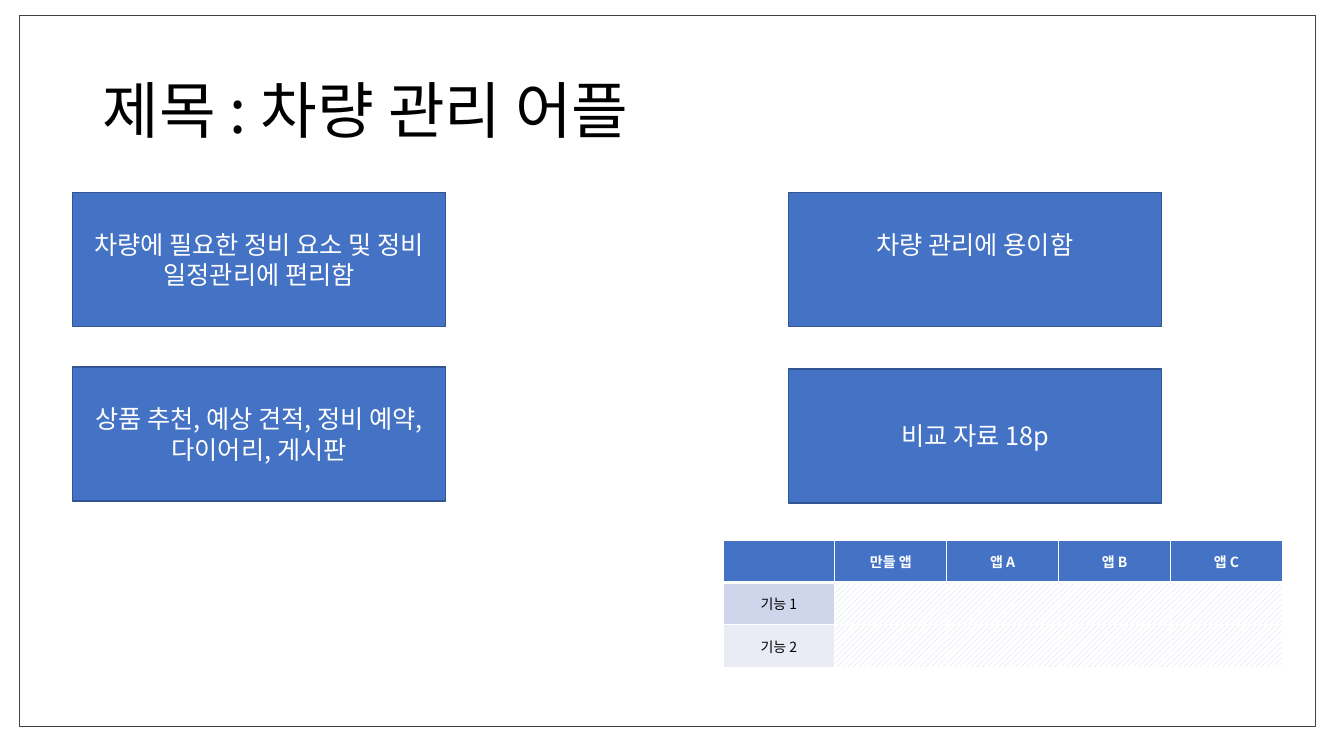
"""Build the car management app overview slide."""
from lxml import etree
from pptx import Presentation
from pptx.dml.color import RGBColor
from pptx.enum import dml, shapes, text
from pptx.oxml import ns
from pptx.util import Inches, Pt

FONT = "Noto Sans CJK KR"
BLACK = RGBColor(0, 0, 0)
WHITE = RGBColor(255, 255, 255)
FRAME_GREY = RGBColor(0x40, 0x40, 0x40)
BLUE = RGBColor(0x44, 0x72, 0xC4)
BLUE_EDGE = RGBColor(0x32, 0x54, 0x91)
BAND_DARK = RGBColor(0xCF, 0xD5, 0xEA)
BAND_LIGHT = RGBColor(0xE9, 0xEB, 0xF5)


def style_text(paragraph, size, color, bold=False):
    for run in paragraph.runs:
        run.font.size = Pt(size)
        run.font.bold = bold
        run.font.color.rgb = color
        run.font.name = FONT
        east_asian = etree.SubElement(run.font._element, ns.qn("a:ea"))
        east_asian.set("typeface", FONT)


def add_borders(cell, widths):
    for position, (side, width) in enumerate(widths.items()):
        border = etree.Element(ns.qn(f"a:ln{side}"), w=str(Pt(width)))
        fill = etree.SubElement(border, ns.qn("a:solidFill"))
        etree.SubElement(fill, ns.qn("a:srgbClr"), val=str(WHITE))
        cell._tc.get_or_add_tcPr().insert(position, border)


prs = Presentation()
prs.slide_width = Inches(13.33)
prs.slide_height = Inches(7.5)
slide = prs.slides.add_slide(prs.slide_layouts[6])

title = slide.shapes.add_textbox(Inches(0.92), Inches(0.4), Inches(11.5), Inches(1.45))
title.text_frame.word_wrap = True
title.text_frame.vertical_anchor = text.MSO_ANCHOR.MIDDLE
title.text_frame.text = "제목 : 차량 관리 어플"
title.text_frame.paragraphs[0].line_spacing = 0.9
style_text(title.text_frame.paragraphs[0], 44, BLACK)

frame = slide.shapes.add_shape(shapes.MSO_SHAPE.RECTANGLE, Inches(0.19), Inches(0.15),
                               Inches(12.85), Inches(7.05))
frame.shadow.inherit = False
frame.fill.background()
frame.line.color.rgb = FRAME_GREY
frame.line.width = Pt(0.25)

CARDS = [
    (0.72, 1.91, 0.05, "차량에 필요한 정비 요소 및 정비 일정관리에 편리함"),
    (0.72, 3.64, 0.05, "상품 추천, 예상 견적, 정비 예약, 다이어리, 게시판"),
    (7.82, 1.91, 0.35, "차량 관리에 용이함"),
    (7.82, 3.66, 0.05, "비교 자료 18p"),
]
for left, top, bottom_inset, wording in CARDS:
    card = slide.shapes.add_shape(shapes.MSO_SHAPE.RECTANGLE, Inches(left), Inches(top),
                                  Inches(3.7), Inches(1.33))
    card.shadow.inherit = False
    card.fill.solid()
    card.fill.fore_color.rgb = BLUE
    card.line.color.rgb = BLUE_EDGE
    card.line.width = Pt(1)
    card.text_frame.word_wrap = True
    card.text_frame.vertical_anchor = text.MSO_ANCHOR.MIDDLE
    card.text_frame.margin_bottom = Inches(bottom_inset)
    card.text_frame.text = wording
    card.text_frame.paragraphs[0].alignment = text.PP_ALIGN.CENTER
    style_text(card.text_frame.paragraphs[0], 18, WHITE)

COMPARISON = [
    ["", "만들 앱", "앱 A", "앱 B", "앱 C"],
    ["기능 1", "", "", "", ""],
    ["기능 2", "", "", "", ""],
]
ROW_FILLS = [BLUE, BAND_DARK, BAND_LIGHT]
comparison = slide.shapes.add_table(3, 5, Inches(7.17), Inches(5.36),
                                    Inches(5.55), Inches(1.26)).table
for row, labels in enumerate(COMPARISON):
    for column, label in enumerate(labels):
        cell = comparison.cell(row, column)
        cell.vertical_anchor = text.MSO_ANCHOR.MIDDLE
        paragraph = cell.text_frame.paragraphs[0]
        paragraph.alignment = text.PP_ALIGN.CENTER
        if label:
            paragraph.text = label
            style_text(paragraph, 10, BLACK if row else WHITE, bold=row == 0)
        else:
            etree.SubElement(paragraph._p, ns.qn("a:endParaRPr"), sz="1000")
        if row and column:
            cell.fill.patterned()
            cell.fill.pattern = dml.MSO_PATTERN.WIDE_UPWARD_DIAGONAL
            cell.fill.fore_color.rgb = BAND_DARK
            cell.fill.back_color.rgb = WHITE
        else:
            cell.fill.solid()
            cell.fill.fore_color.rgb = ROW_FILLS[row]
        add_borders(cell, {"L": 1, "R": 1, "T": 3 if row == 1 else 1, "B": 3 if row == 0 else 1})

prs.save("out.pptx")
